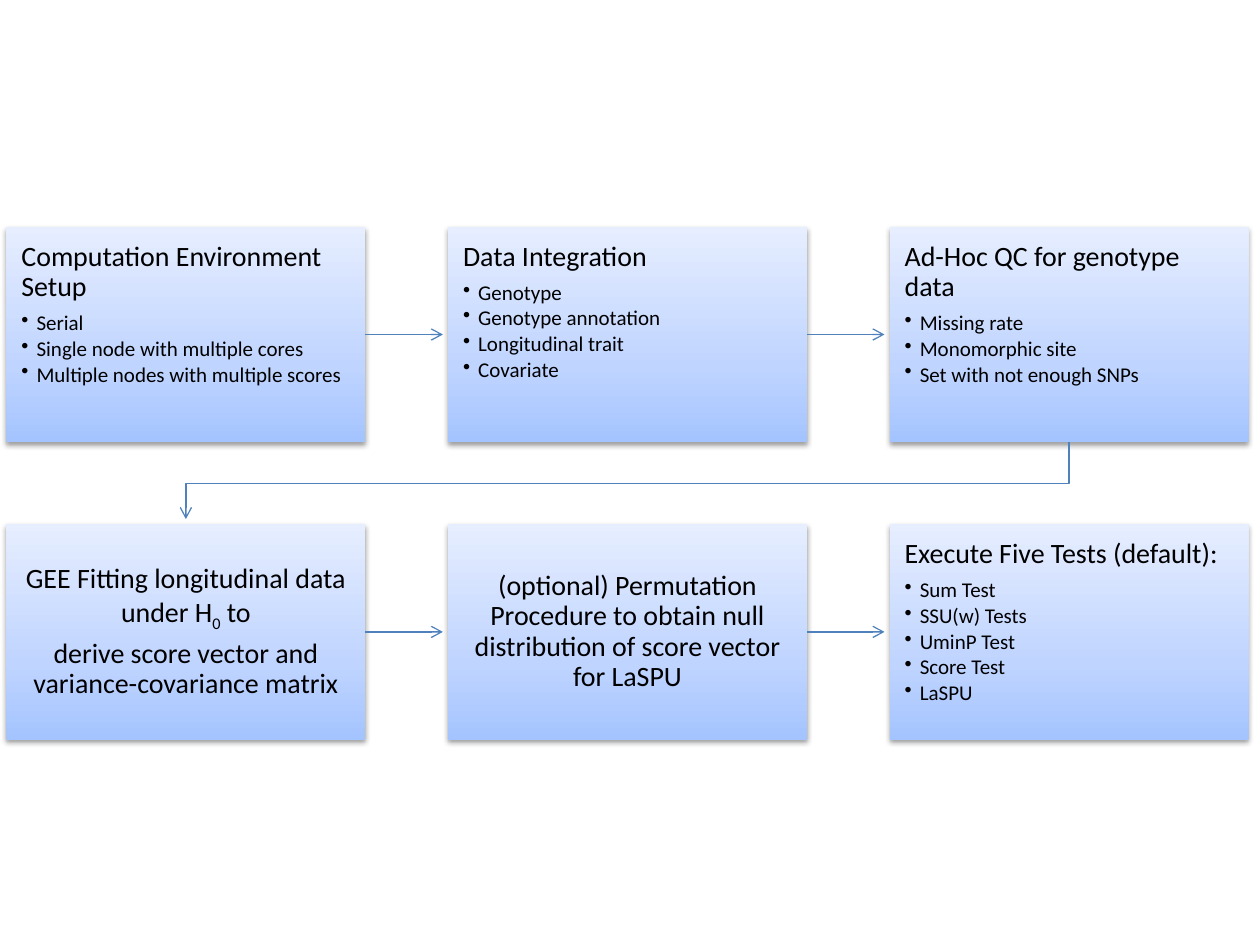
import copy
from dataclasses import dataclass

import pptx
import pptx.dml.color
import pptx.enum.shapes
import pptx.enum.text
import pptx.oxml
import pptx.oxml.ns
import pptx.util
from lxml import etree

qn = pptx.oxml.ns.qn
Inches = pptx.util.Inches
Pt = pptx.util.Pt
RGB = pptx.dml.color.RGBColor.from_string


@dataclass(frozen=True)
class Theme:
    font: str = "Calibri"
    text: str = "000000"
    line: str = "4F81BD"
    shadow: str = "000000"
    gradient: tuple = ((0, "A4C4FF"), (0.35, "BFD4FF"), (1, "E6EEFF"))
    heading_size: float = 16
    item_size: float = 12
    line_width: float = 0.75


@dataclass(frozen=True)
class Grid:
    left: float = 0.05
    top: float = 1.8
    column_step: float = 3.505
    row_step: float = 2.36
    width: float = 2.85
    height: float = 1.71
    arrow_gap: float = 0.04
    inset: float = 0.12

    def x(self, column: float) -> float:
        return self.left + column * self.column_step

    def y(self, row: float) -> float:
        return self.top + row * self.row_step


@dataclass(frozen=True)
class Step:
    column: int
    row: int
    headings: tuple
    items: tuple = ()


THEME = Theme()
GRID = Grid()
STEPS = (
    Step(0, 0, ("Computation Environment Setup",),
         ("Serial", "Single node with multiple cores",
          "Multiple nodes with multiple scores")),
    Step(1, 0, ("Data Integration",),
         ("Genotype", "Genotype annotation", "Longitudinal trait", "Covariate")),
    Step(2, 0, ("Ad-Hoc QC for genotype data",),
         ("Missing rate", "Monomorphic site", "Set with not enough SNPs")),
    Step(0, 1, (("GEE Fitting longitudinal data under H", "0", " to"),
                "derive score vector and variance-covariance matrix")),
    Step(1, 1, ("(optional) Permutation Procedure to obtain null "
                "distribution of score vector for LaSPU",)),
    Step(2, 1, ("Execute Five Tests (default):",),
         ("Sum Test", "SSU(w) Tests", "UminP Test", "Score Test", "LaSPU")),
)


def format_paragraph(para, size: float, after_percent: int, bullet: bool) -> None:
    para.line_spacing = 0.9
    properties = para._p.get_or_add_pPr()
    after = etree.SubElement(properties, qn("a:spcAft"))
    etree.SubElement(after, qn("a:spcPct"), val=str(after_percent * 1000))
    if bullet:
        para.level = 1
        properties.set("marL", str(Inches(GRID.inset)))
        properties.set("indent", str(-Inches(GRID.inset)))
        etree.SubElement(properties, qn("a:buChar"), char="•")
    para.font.name = THEME.font
    para.font.size = Pt(size)
    para.font.color.rgb = RGB(THEME.text)


def add_spans(para, content) -> None:
    if isinstance(content, str):
        para.add_run().text = content
        return
    for index, text in enumerate(content):
        span = para.add_run()
        span.text = text
        if index == 1:
            span._r.get_or_add_rPr().set("baseline", "-25000")


def style_box(box) -> None:
    box._element.remove(box._element.find(qn("p:style")))
    box.fill.gradient()
    box.fill.gradient_angle = 90
    stops = box._element.spPr.find(qn("a:gradFill")).find(qn("a:gsLst"))
    stops.append(copy.deepcopy(stops[0]))
    for stop, (position, color) in zip(box.fill.gradient_stops, THEME.gradient):
        stop.position = position
        stop.color.rgb = RGB(color)
    box.line.fill.background()
    box.shadow.inherit = False
    effects = box._element.spPr.find(qn("a:effectLst"))
    shadow = etree.SubElement(
        effects, qn("a:outerShdw"), blurRad=str(Pt(3.1)), dist=str(Pt(1.6)),
        dir="5400000", rotWithShape="0")
    color = etree.SubElement(shadow, qn("a:srgbClr"), val=THEME.shadow)
    etree.SubElement(color, qn("a:alpha"), val="38000")


def add_step(page, step: Step):
    box = page.shapes.add_shape(
        pptx.enum.shapes.MSO_SHAPE.RECTANGLE,
        Inches(GRID.x(step.column)), Inches(GRID.y(step.row)),
        Inches(GRID.width), Inches(GRID.height))
    style_box(box)
    frame = box.text_frame
    frame.word_wrap = True
    frame.margin_left = frame.margin_right = Inches(GRID.inset)
    frame.margin_top = frame.margin_bottom = Inches(GRID.inset)
    anchors = pptx.enum.text.MSO_ANCHOR
    aligns = pptx.enum.text.PP_ALIGN
    frame.vertical_anchor = anchors.TOP if step.items else anchors.MIDDLE
    for index, content in enumerate(step.headings + step.items):
        para = frame.add_paragraph() if index else frame.paragraphs[0]
        bullet = index >= len(step.headings)
        para.alignment = aligns.LEFT if step.items else aligns.CENTER
        add_spans(para, content)
        if bullet:
            format_paragraph(para, THEME.item_size, 15, True)
        else:
            format_paragraph(para, THEME.heading_size, 35, False)
    return box


def style_arrow(arrow) -> None:
    arrow.line.color.rgb = RGB(THEME.line)
    arrow.line.width = Pt(THEME.line_width)
    properties = arrow._element.spPr
    etree.SubElement(properties.find(qn("a:ln")), qn("a:tailEnd"), type="arrow")
    if properties.find(qn("a:effectLst")) is None:
        etree.SubElement(properties, qn("a:effectLst"))


def add_row_arrow(page, box, column: int, row: int) -> None:
    middle = Inches(GRID.y(row) + GRID.height / 2)
    arrow = page.shapes.add_connector(
        pptx.enum.shapes.MSO_CONNECTOR.STRAIGHT,
        Inches(GRID.x(column) + GRID.width), middle,
        Inches(GRID.x(column + 1) - GRID.arrow_gap), middle)
    arrow.begin_connect(box, 3)
    style_arrow(arrow)


def add_return_arrow(page) -> None:
    start_x = Inches(GRID.x(2) + GRID.width / 2)
    end_x = Inches(GRID.x(0) + GRID.width / 2)
    start_y = Inches(GRID.y(0) + GRID.height)
    bend_y = (start_y + Inches(GRID.y(1))) // 2
    end_y = Inches(GRID.y(1) - GRID.arrow_gap)
    builder = page.shapes.build_freeform(start_x, start_y)
    builder.add_line_segments(
        [(start_x, bend_y), (end_x, bend_y), (end_x, end_y)], close=False)
    arrow = builder.convert_to_shape()
    arrow.fill.background()
    arrow.shadow.inherit = False
    style_arrow(arrow)


def main() -> None:
    deck = pptx.Presentation()
    deck.slide_width, deck.slide_height = Inches(10), Inches(7.5)
    page = deck.slides.add_slide(deck.slide_layouts[6])
    for step in STEPS:
        box = add_step(page, step)
        if step.column < 2:
            add_row_arrow(page, box, step.column, step.row)
    add_return_arrow(page)
    deck.save("out.pptx")


if __name__ == "__main__":
    main()
